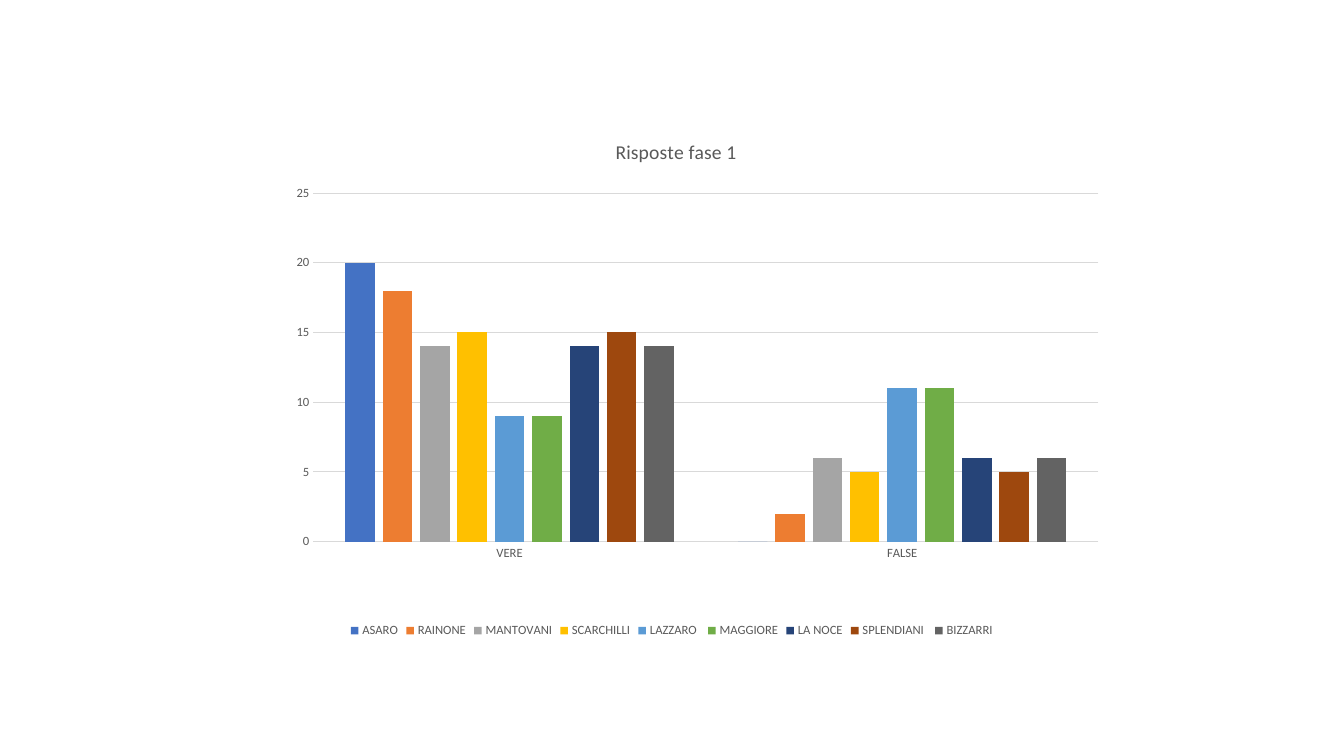
from lxml import etree
from pptx import Presentation
from pptx.chart.data import CategoryChartData
from pptx.dml.color import RGBColor
from pptx.enum.chart import XL_CHART_TYPE, XL_LEGEND_POSITION, XL_TICK_MARK
from pptx.oxml.ns import qn
from pptx.util import Inches, Pt

FONT, GREY, RULE = "Calibri", "595959", "D9D9D9"
QUESTIONS = 20

# Name, correct answers, bar colour
TEAMS = [
    ("ASARO", 20, "4472C4"),
    ("RAINONE", 18, "ED7D31"),
    ("MANTOVANI", 14, "A5A5A5"),
    ("SCARCHILLI", 15, "FFC000"),
    ("LAZZARO ", 9, "5B9BD5"),
    ("MAGGIORE", 9, "70AD47"),
    ("LA NOCE", 14, "264478"),
    ("SPLENDIANI ", 15, "9E480E"),
    ("BIZZARRI", 14, "636363"),
]


def rgb(value):
    return RGBColor.from_string(value)


def style_font(font, size):
    font.name, font.size, font.bold = FONT, Pt(size), False
    font.color.rgb = rgb(GREY)


def style_line(line):
    line.color.rgb = rgb(RULE)
    line.width = Pt(0.75)


def set_layout(parent, index, **settings):
    """Place a chart part by fractions of the chart area."""
    for old in parent.findall(qn("c:layout")):
        parent.remove(old)
    layout = etree.Element(qn("c:layout"))
    parent.insert(index, layout)
    manual = etree.SubElement(layout, qn("c:manualLayout"))
    for tag, value in settings.items():
        etree.SubElement(manual, qn(f"c:{tag}")).set("val", str(value))


def add_answers_chart(s, left, top, width, height):
    data = CategoryChartData()
    data.categories = ["VERE", "FALSE"]
    for name, correct, _ in TEAMS:
        data.add_series(name, (correct, QUESTIONS - correct))
    chart = s.shapes.add_chart(XL_CHART_TYPE.COLUMN_CLUSTERED, Inches(left), Inches(top),
                               Inches(width), Inches(height), data).chart
    chart.font.name, chart.font.size = FONT, Pt(10)

    # Title
    chart.has_title = True
    title = chart.chart_title
    p = title.text_frame.paragraphs[0]
    p.text = "Risposte fase 1"
    style_font(p.runs[0].font, 14)
    set_layout(title._element, 1, xMode="edge", yMode="edge", x=0.43, y=0.04)

    # Bars
    plot = chart.plots[0]
    plot.gap_width, plot.overlap = 219, -27
    plot.vary_by_categories = False
    for series, (_, _, color) in zip(plot.series, TEAMS):
        series.format.fill.solid()
        series.format.fill.fore_color.rgb = rgb(color)
    set_layout(chart._chartSpace.chart.plotArea, 0, layoutTarget="inner",
               xMode="edge", yMode="edge", x=0.08, y=0.15, w=0.92, h=0.66)

    # Axes
    for axis in (chart.category_axis, chart.value_axis):
        axis.major_tick_mark = axis.minor_tick_mark = XL_TICK_MARK.NONE
        style_font(axis.tick_labels.font, 9)
    style_line(chart.category_axis.format.line)
    values = chart.value_axis
    values.minimum_scale, values.maximum_scale, values.major_unit = 0, 25, 5
    values.format.line.fill.background()
    values.has_major_gridlines = True
    style_line(values.major_gridlines.format.line)

    # Legend
    chart.has_legend = True
    chart.legend.position = XL_LEGEND_POSITION.BOTTOM
    chart.legend.include_in_layout = False
    style_font(chart.legend.font, 9)


def main():
    prs = Presentation()
    prs.slide_width, prs.slide_height = Inches(13.33), Inches(7.5)
    s = prs.slides.add_slide(prs.slide_layouts[6])
    add_answers_chart(s, 2.43, 1.13, 8.47, 5.24)
    prs.save("out.pptx")


if __name__ == "__main__":
    main()
